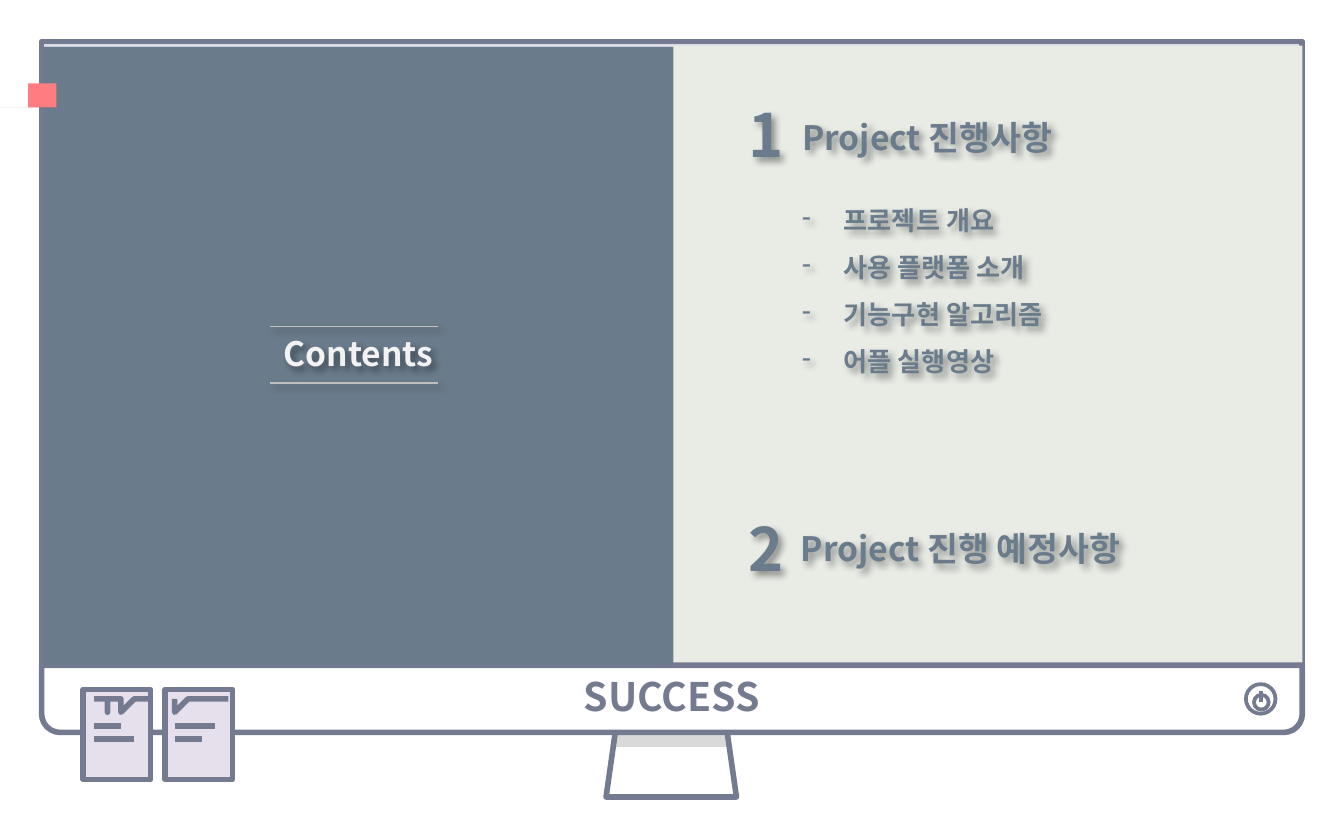
from pptx import Presentation
from pptx.dml.color import RGBColor
from pptx.enum.shapes import MSO_CONNECTOR, MSO_SHAPE
from pptx.enum.text import MSO_ANCHOR, MSO_AUTO_SIZE, PP_ALIGN
from pptx.oxml import parse_xml
from pptx.oxml.ns import nsdecls, qn
from pptx.util import Inches, Pt
from lxml import etree

COLORS = {
    "frame": "747A90", "slate": "6A7B8B", "screen": "DADCE8", "panel": "E8ECE5",
    "white": "FFFFFF", "grey": "D9D9D9", "coral": "FF7C80", "paper": "E6E0EC",
    "title": "F2F2F2", "rule": "BFBFBF", "black": "000000",
}
FONT = "Noto Sans CJK KR"
CELL = Inches(0.1)  # the slide is a grid of 100 columns by 62.5 rows


def rgb(name):
    return RGBColor.from_string(COLORS[name])


def grid(*cells):
    return [round(c * CELL) for c in cells]


class Deck:
    """Holds the style and the current slide."""

    def __init__(self):
        self.prs = Presentation()
        self.prs.slide_width, self.prs.slide_height = grid(100, 62.5)
        self.s = self.prs.slides.add_slide(self.prs.slide_layouts[5])

    def paint(self, sp, fill=None, line=None, width=3):
        sp.shadow.inherit = False
        if fill:
            sp.fill.solid()
            sp.fill.fore_color.rgb = rgb(fill)
        else:
            sp.fill.background()
        if line:
            sp.line.color.rgb = rgb(line)
            sp.line.width = Pt(width)
        else:
            sp.line.fill.background()
        return sp

    def shape(self, kind, box, fill=None, line=None, width=3, adj=()):
        sp = self.s.shapes.add_shape(kind, *grid(*box))
        for i, value in enumerate(adj):
            sp.adjustments[i] = value
        return self.paint(sp, fill, line, width)

    def outline(self, points, fill=None, line=None, close=False):
        first, *rest = points
        fb = self.s.shapes.build_freeform(*first, scale=CELL)
        fb.add_line_segments(rest, close=close)
        return self.paint(fb.convert_to_shape(), fill, line)

    def line(self, start, end, color, width):
        ln = self.s.shapes.add_connector(MSO_CONNECTOR.STRAIGHT, *grid(*start, *end))
        ln.line.color.rgb = rgb(color)
        ln.line.width = Pt(width)
        etree.SubElement(ln._element.spPr, qn("a:effectLst"))
        return ln

    def drop_shadow(self, sp):
        spPr = sp._element.spPr
        for old in spPr.findall(qn("a:effectLst")):
            spPr.remove(old)
        spPr.append(parse_xml(
            f'<a:effectLst {nsdecls("a")}><a:outerShdw blurRad="50800" dist="38100" '
            'dir="2700000" algn="tl" rotWithShape="0"><a:srgbClr val="000000">'
            '<a:alpha val="40000"/></a:srgbClr></a:outerShdw></a:effectLst>'))

    def label(self, p, text, size, color, **formats):
        for name, value in formats.items():
            setattr(p, name, value)
        r = p.add_run()
        r.text = text
        look = {"name": FONT, "size": Pt(size), "bold": True}
        for name, value in look.items():
            setattr(r.font, name, value)
        r.font.color.rgb = rgb(color)
        r.font._element.find(qn("a:latin")).addnext(
            parse_xml(f'<a:ea {nsdecls("a")} typeface="{FONT}"/>'))

    def text(self, box, text, size, color="slate", **formats):
        sp = self.s.shapes.add_textbox(*grid(*box))
        sp.text_frame.word_wrap = True
        self.label(sp.text_frame.paragraphs[0], text, size, color, **formats)
        self.drop_shadow(sp)
        return sp.text_frame

    def title(self, box, text, size, color):
        sp = self.s.shapes.title
        sp.left, sp.top, sp.width, sp.height = grid(*box)
        frame = {"word_wrap": True, "auto_size": MSO_AUTO_SIZE.NONE,
                 "vertical_anchor": MSO_ANCHOR.TOP}
        for name, value in frame.items():
            setattr(sp.text_frame, name, value)
        self.label(sp.text_frame.paragraphs[0], text, size, color,
                   alignment=PP_ALIGN.LEFT)
        self.drop_shadow(sp)
        self.s.shapes._spTree.append(sp._element)  # bring above the panels

    def dash(self, tf, text, size):
        p = tf.add_paragraph()
        self.label(p, text, size, "slate", line_spacing=1.5)
        pPr = p._p.get_or_add_pPr()
        pPr.set("marL", str(Inches(0.31)))
        pPr.set("indent", str(-Inches(0.31)))
        etree.SubElement(pPr, qn("a:buFontTx"))
        etree.SubElement(pPr, qn("a:buChar"), char="-")


def main():
    d = Deck()

    # Monitor: stand, screen, right panel, base bar
    stand = d.shape(MSO_SHAPE.TRAPEZOID, (45.1, 52.5, 9.7, 6.8), "white", "frame",
                    adj=[0.143])
    stand.fill.gradient()
    stand.fill.gradient_angle = 270
    for stop, (color, place) in zip(stand.fill.gradient_stops,
                                    [("grey", 0.45), ("white", 0.46)]):
        stop.color.rgb = rgb(color)
        stop.position = place
    d.shape(MSO_SHAPE.ROUND_2_SAME_RECTANGLE, (3.1, 3.1, 93.8, 46.4), "screen",
            "frame", adj=[0, 0])
    d.shape(MSO_SHAPE.RECTANGLE, (50, 3.4, 46.9, 46), "panel")
    base = d.shape(MSO_SHAPE.ROUND_2_SAME_RECTANGLE, (3.1, 49.5, 93.8, 5), "white",
                   "frame", adj=[0, 0.276])
    base.text_frame.vertical_anchor = MSO_ANCHOR.MIDDLE
    d.label(base.text_frame.paragraphs[0], "SUCCESS", 21, "frame",
            alignment=PP_ALIGN.CENTER)

    # Power button, with the gap of the arc at the top
    d.shape(MSO_SHAPE.OVAL, (92.7, 50.9, 2.2, 2.2), "white", "frame", 2)
    d.shape(MSO_SHAPE.ARC, (93.3, 51.7, 1.1, 1.1), None, "frame", 2,
            adj=[-50 * 0.6, -130 * 0.6])
    d.line((93.85, 51.4), (93.85, 52.2), "frame", 2)

    # Left panel and bookmark
    d.shape(MSO_SHAPE.RECTANGLE, (3.2, 3.5, 46.9, 46), "slate")
    d.shape(MSO_SHAPE.RECTANGLE, (2.1, 6.2, 2.1, 1.8), "coral")
    fold = d.outline([(0.4, 8.1), (4.2, 8.1), (0.4, 8.4)], "black", close=True)
    tint = fold._element.spPr.find(qn("a:solidFill"))[0]
    etree.SubElement(tint, qn("a:alpha"), val="37000")

    # Note sheets with scribbled lines, measured from the sheet's corner
    sheets = {
        6.2: [
            [(0.8, 1.2), (0.8, 0.9), (1.5, 1.1), (2, 1.3), (2.2, 1.2), (2.7, 1),
             (3, 1.3), (3.6, 1.1), (4, 1.1), (4.4, 1.2)],
            [(0.6, 2.3), (1.4, 2.2), (1.8, 2.5), (2.5, 2.4)],
            [(0.8, 3.5), (1.1, 3.7), (1.3, 3.4), (1.8, 3.6), (2.1, 3.3), (2.4, 3.5),
             (2.9, 3.5), (3.1, 3.3), (3.5, 3.4), (3.6, 3.4)],
        ],
        12.3: [
            [(0.7, 1.1), (0.7, 1.3), (1.5, 1.2), (2, 1), (2.2, 1.1), (2.7, 1.2),
             (3, 1), (3.6, 1.2), (4, 1.1), (4.4, 1.1)],
            [(0.6, 2.3), (1.7, 2.2), (2.3, 2.5), (3.3, 2.4)],
            [(0.7, 3.5), (0.9, 3.4), (1, 3.6), (1.3, 3.4), (1.5, 3.7), (1.6, 3.5),
             (1.9, 3.5), (2, 3.6), (2.2, 3.5), (2.3, 3.5)],
        ],
    }
    for left, scribbles in sheets.items():
        d.shape(MSO_SHAPE.RECTANGLE, (left, 51.3, 5, 6.7), "paper", "frame")
        for scribble in scribbles:
            d.outline([(left + x, 51.3 + y) for x, y in scribble], line="frame")

    # Title between two rules
    d.title((20.1, 24.3, 13.4, 4), "Contents", 18, "title")
    for y in (24.3, 28.5):
        d.drop_shadow(d.line((20.1, y), (32.6, y), "rule", 0.75))

    # Agenda
    for number, y in (("1", 6.8), ("2", 37.6)):
        d.text((54.7, y, 7.9, 6.4), number, 32)
    d.text((58.6, 38.8, 28.4, 4), "Project 진행 예정사항", 18)
    tf = d.text((58.7, 8.2, 32.2, 23.6), "Project 진행사항", 18, space_after=Pt(17))
    for item in ("프로젝트 개요", "사용 플랫폼 소개", "기능구현 알고리즘", "어플 실행영상"):
        d.dash(tf, item, 14)

    d.prs.save("out.pptx")


if __name__ == "__main__":
    main()
